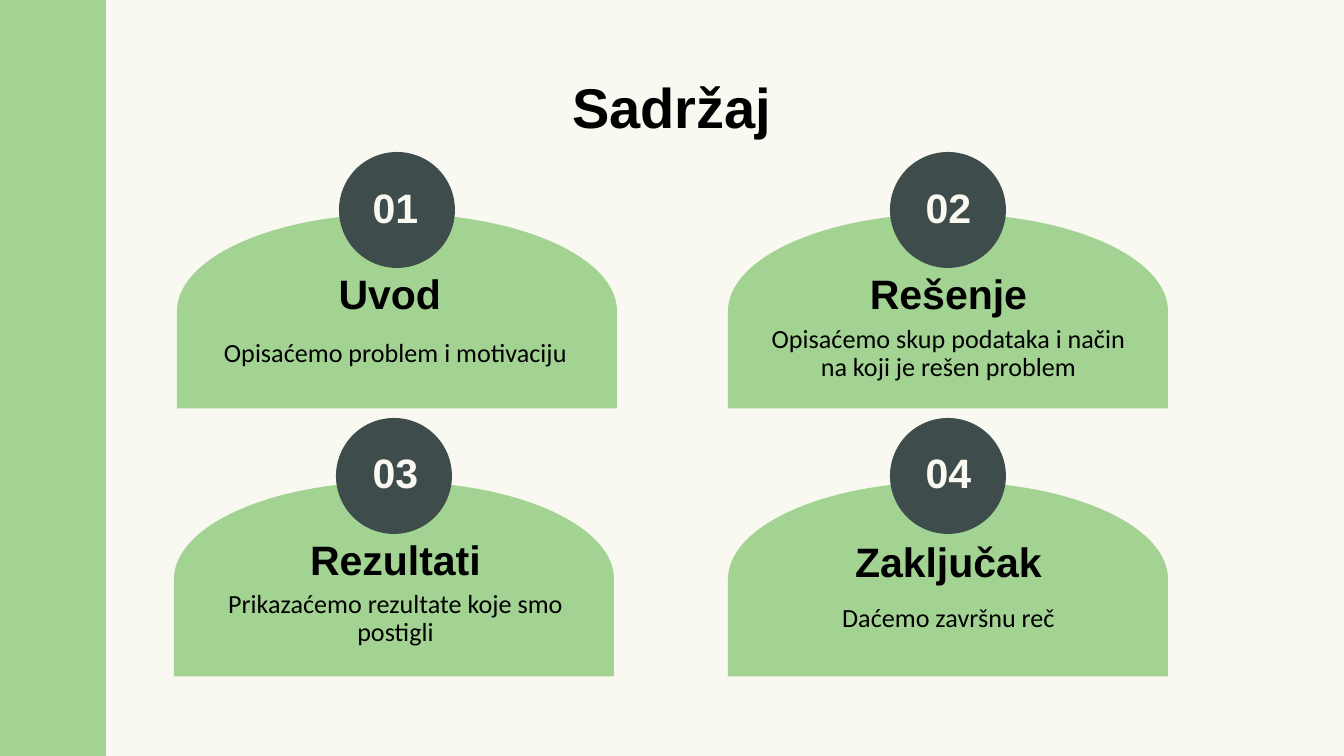
from pptx import Presentation, util as u
from pptx.dml.color import RGBColor
from pptx.enum import shapes, text

PX = 914400 / 134.4
GREEN, SLATE, CREAM, BLACK = "A3D392", "3E4C4C", "F9F9F1", "000000"
KIND = shapes.MSO_SHAPE

deck = Presentation()
deck.slide_width, deck.slide_height = u.Emu(int(1344 * PX)), u.Emu(int(756 * PX))
slide = deck.slides.add_slide(deck.slide_layouts[6])
slide.background.fill.solid()
slide.background.fill.fore_color.rgb = RGBColor.from_string(CREAM)


def form(kind, x, y, w, h, color, turn=0):
    """Add a plain filled shape centred on x, y."""
    box = [u.Emu(int(n * PX)) for n in (x - w / 2, y - h / 2, w, h)]
    item = slide.shapes.add_shape(kind, *box)
    item.shadow.inherit = False
    item.fill.solid()
    item.fill.fore_color.rgb = RGBColor.from_string(color)
    item.line.fill.background()
    item.rotation = turn


def label(words, x, y, w, h, size, color=BLACK, font="Arial", lead=0.9, gap=7.5):
    """Add one centred line of text; Arial is set in bold."""
    box = slide.shapes.add_textbox(*[u.Emu(int(n * PX)) for n in (x, y, w, h)])
    frame = box.text_frame
    frame.word_wrap = True
    frame.vertical_anchor = text.MSO_ANCHOR.MIDDLE
    frame.margin_left = frame.margin_right = u.Emu(int(10 * PX))
    frame.margin_top = frame.margin_bottom = u.Emu(int(5 * PX))
    para = frame.paragraphs[0]
    para.alignment = text.PP_ALIGN.CENTER
    para.line_spacing = lead
    para.space_before = u.Pt(gap)
    run = para.add_run()
    run.text = words
    run.font.name = font
    run.font.size = u.Pt(size)
    run.font.bold = font == "Arial"
    run.font.color.rgb = RGBColor.from_string(color)


# Side bar and title
form(KIND.RECTANGLE, 53, 377, 758, 106, GREEN, 270)
label("Sadržaj", 106, 81, 1132, 58, 30, gap=0)

# Cards: number, heading, body, dome centre, text left, row, line spacing
cards = [
    ("01", "Uvod ", "Opisaćemo problem i motivaciju", 397, 208, 0, 0.9),
    ("02", "Rešenje", "Opisaćemo skup podataka i način na koji je rešen problem",
     948, 761, 0, 0.9),
    ("03", "Rezultati", "Prikazaćemo rezultate koje smo postigli", 394, 208, 1, 0.8),
    ("04", "Zaključak", "Daćemo završnu reč", 948, 761, 1, 0.9),
]
for num, head, body, mid, left, row, lead in cards:
    form(KIND.FLOWCHART_DELAY, mid, 311 + 268 * row, 195, 440, GREEN, 270)
    form(KIND.OVAL, mid, 210 + 266 * row, 116, 116, SLATE)
    label(num, left, 181 + 264 * row, 375, 58 + 2 * row, 22, CREAM)
    label(head, left, 267 + 268 * row, 375, 58, 22, lead=lead)
    label(body, left, 325 + 265 * row, 375, 58, 14, font="Calibri")

deck.save("out.pptx")
